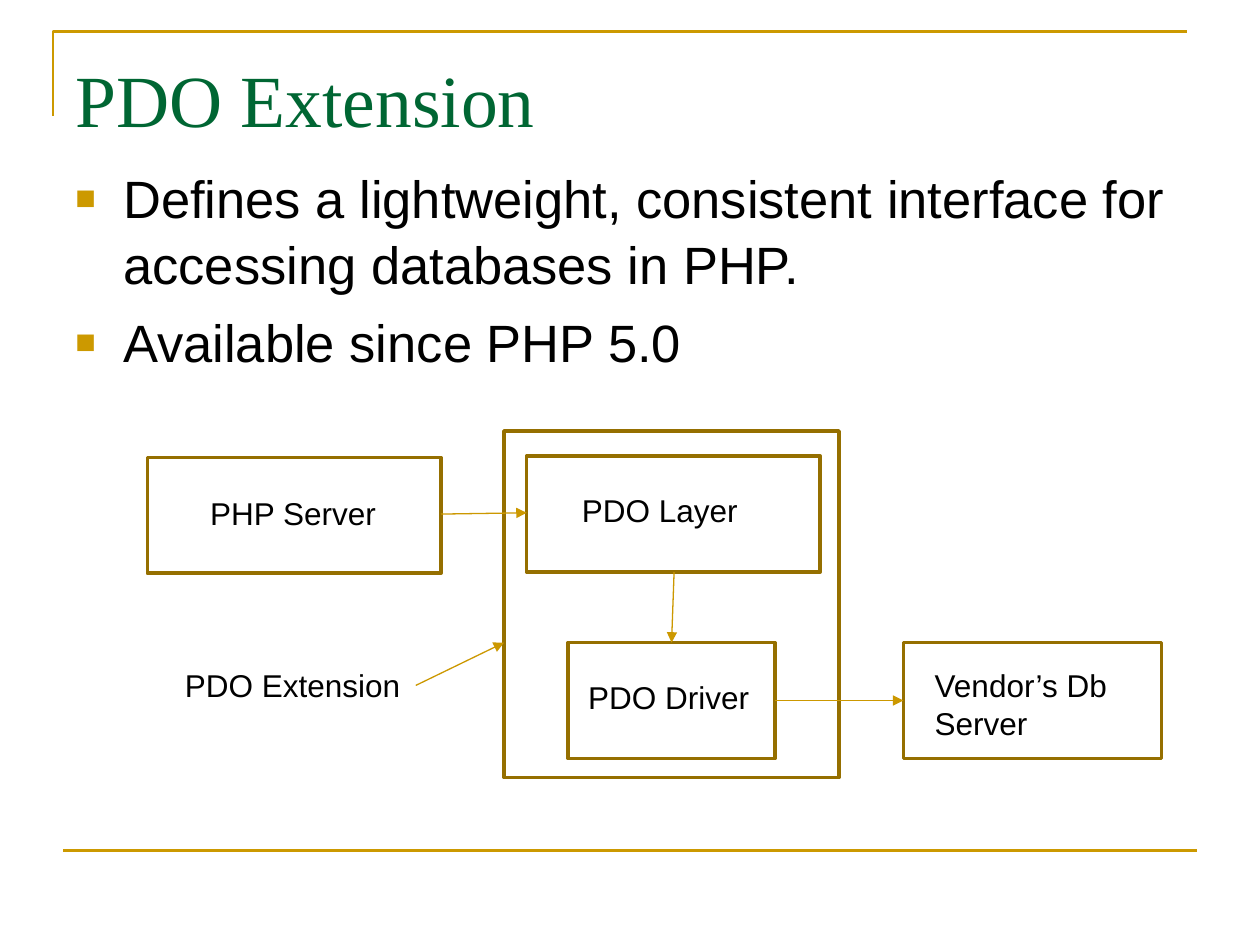
"""Build the PDO Extension slide: two bullets above an architecture diagram."""
from dataclasses import dataclass

from lxml import etree
from pptx import Presentation
from pptx import util as u
from pptx.dml.color import RGBColor
from pptx.enum import shapes, text
from pptx.oxml.ns import qn

WIDTH, HEIGHT = u.Inches(10), u.Inches(7.5)
COLUMNS, ROWS = 100, 75
GOLD, ARROW_GOLD, BOX_GOLD = "CC9900", "CC9800", "956F00"
GREEN, BLACK = "006633", "000000"
BOX_ROWS = 9.2


@dataclass(frozen=True)
class Area:
    """A rectangle in grid columns and rows."""
    column: float
    row: float
    columns: float
    rows: float

    def lengths(self) -> tuple:
        """Return left, top, width and height as slide lengths."""
        return (x(self.column), y(self.row), x(self.columns), y(self.rows))


@dataclass(frozen=True)
class Label:
    """A diagram caption and its place."""
    words: str
    area: Area


@dataclass(frozen=True)
class Arrow:
    """A link between two grid points."""
    start: tuple[float, float]
    end: tuple[float, float]


SERVER = Area(11.7, 36.3, 23.3, BOX_ROWS)
LAYER = Area(41.8, 36.2, 23.3, BOX_ROWS)
DRIVER = Area(45.1, 51, 16.4, BOX_ROWS)
VENDOR = Area(71.7, 51, 20.5, BOX_ROWS)
EXTENSION = Area(40, 34.2, 26.6, 27.5)

LABELS = (
    Label("PHP Server", Area(15.7, 38.7, 17.3, 4)),
    Label("PDO Layer", Area(45.2, 38.5, 17.3, 4)),
    Label("PDO Driver", Area(45.7, 53.3, 17.3, 4)),
    Label("Vendor’s Db Server", Area(73.2, 52.4, 17.5, 7)),
    Label("PDO Extension", Area(13.7, 52.4, 19.3, 4)),
)
ARROWS = (
    Arrow((35, 40.8), (41.8, 40.7)),
    Arrow((53.5, 45.4), (53.3, 51)),
    Arrow((61.5, 55.6), (71.7, 55.6)),
    Arrow((33, 54.4), (40, 51)),
)
BULLETS = (
    "Defines a lightweight, consistent interface for accessing databases in PHP.",
    "Available since PHP 5.0",
)


def x(column: float) -> int:
    """Turn grid columns into a length."""
    return round(WIDTH * column / COLUMNS)


def y(row: float) -> int:
    """Turn grid rows into a length."""
    return round(HEIGHT * row / ROWS)


def colour(code: str) -> RGBColor:
    """Turn a hex string into a colour."""
    return RGBColor.from_string(code)


def set_line(shape, code: str, points: float) -> None:
    """Give a shape or connector its line."""
    shape.line.color.rgb = colour(code)
    shape.line.width = u.Pt(points)


def add_run(paragraph, words: str, size: float, font: str = "Arial", code: str = BLACK) -> None:
    """Add one formatted run."""
    run = paragraph.add_run()
    run.text = words
    run.font.size, run.font.name = u.Pt(size), font
    run.font.color.rgb = colour(code)


def add_frame(slide, area: Area, anchor=text.MSO_ANCHOR.TOP):
    """Add a wrapping text box and return its frame."""
    frame = slide.shapes.add_textbox(*area.lengths()).text_frame
    frame.word_wrap = True
    frame.vertical_anchor = anchor
    return frame


def add_bullet(paragraph) -> None:
    """Give a paragraph a hanging square bullet."""
    properties = paragraph._p.get_or_add_pPr()
    properties.set("marL", str(u.Inches(0.38)))
    properties.set("indent", str(-u.Inches(0.38)))
    bullet_colour = etree.SubElement(properties, qn("a:buClr"))
    etree.SubElement(bullet_colour, qn("a:srgbClr"), val=GOLD)
    etree.SubElement(properties, qn("a:buSzPct"), val="65000")
    etree.SubElement(properties, qn("a:buFont"), typeface="Arial")
    etree.SubElement(properties, qn("a:buChar"), char="■")


def add_bullets(slide, area: Area) -> None:
    """Write the bulleted statements."""
    frame = add_frame(slide, area)
    for index, words in enumerate(BULLETS):
        paragraph = frame.add_paragraph() if index else frame.paragraphs[0]
        paragraph.space_before = u.Pt(7.5)
        paragraph.line_spacing = 1.04
        add_bullet(paragraph)
        add_run(paragraph, words, 30)


def add_box(slide, area: Area) -> None:
    """Draw an unfilled diagram box."""
    box = slide.shapes.add_shape(shapes.MSO_SHAPE.RECTANGLE, *area.lengths())
    box.shadow.inherit = False
    box.fill.background()
    set_line(box, BOX_GOLD, 2)


def add_label(slide, label: Label) -> None:
    """Write a diagram caption."""
    add_run(add_frame(slide, label.area).paragraphs[0], label.words, 18)


def add_link(slide, link: Arrow, code: str, points: float):
    """Draw a straight connector without a shadow."""
    connector = slide.shapes.add_connector(
        shapes.MSO_CONNECTOR.STRAIGHT,
        x(link.start[0]), y(link.start[1]), x(link.end[0]), y(link.end[1]))
    set_line(connector, code, points)
    etree.SubElement(connector._element.spPr, qn("a:effectLst"))
    return connector


def add_arrow(slide, arrow: Arrow) -> None:
    """Draw a connector with a triangular head."""
    connector = add_link(slide, arrow, ARROW_GOLD, 0.75)
    etree.SubElement(connector.line._get_or_add_ln(), qn("a:tailEnd"), type="triangle")


def add_rules(slide) -> None:
    """Draw the corner rule and the bottom rule."""
    builder = slide.shapes.build_freeform(x(4.2), y(9.2))
    builder.add_line_segments([(x(4.2), y(2.5)), (x(94.2), y(2.5))], close=False)
    corner = builder.convert_to_shape()
    corner.shadow.inherit = False
    corner.fill.background()
    set_line(corner, GOLD, 1.5)
    add_link(slide, Arrow((5, 67.5), (95, 67.5)), GOLD, 1.5)


def main() -> None:
    """Assemble and save the slide."""
    deck = Presentation()
    deck.slide_width, deck.slide_height = WIDTH, HEIGHT
    slide = deck.slides.add_slide(deck.slide_layouts[6])
    add_rules(slide)
    title = add_frame(slide, Area(5, 3, 90, 9.5), text.MSO_ANCHOR.MIDDLE)
    add_run(title.paragraphs[0], "PDO Extension", 42, "Times New Roman", GREEN)
    add_bullets(slide, Area(5, 12.5, 90, 21.7))
    for area in (SERVER, LAYER, DRIVER, VENDOR, EXTENSION):
        add_box(slide, area)
    for label in LABELS:
        add_label(slide, label)
    for arrow in ARROWS:
        add_arrow(slide, arrow)
    deck.save("out.pptx")


if __name__ == "__main__":
    main()
